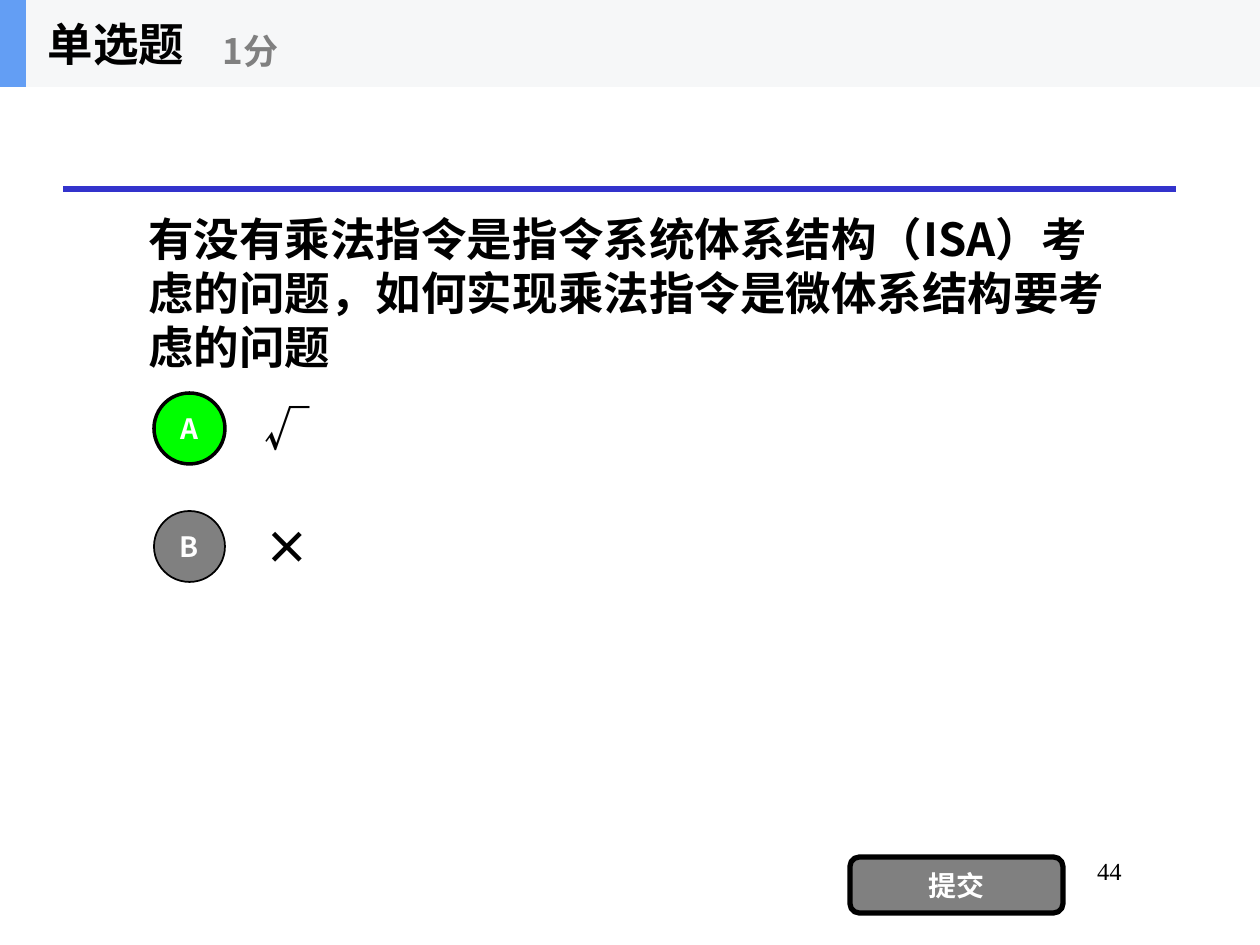
from lxml import etree
from pptx import Presentation
from pptx.dml.color import RGBColor
from pptx.enum.shapes import MSO_CONNECTOR, MSO_SHAPE
from pptx.enum.text import MSO_ANCHOR, PP_ALIGN
from pptx.oxml.ns import qn
from pptx.util import Emu, Pt

PIXELS_PER_INCH = 126
SANS = "Noto Sans CJK SC"
SERIF = "Times New Roman"

BLACK = RGBColor(0x00, 0x00, 0x00)
WHITE = RGBColor(0xFF, 0xFF, 0xFF)
GRAY = RGBColor(0x80, 0x80, 0x80)
GREEN = RGBColor(0x00, 0xFF, 0x00)
RULE_BLUE = RGBColor(0x33, 0x33, 0xCC)
ACCENT_BLUE = RGBColor(0x63, 0x9E, 0xF4)
HEADER_GRAY = RGBColor(0xF6, 0xF7, 0xF8)

# Answer mark, letter, badge fill, badge outline width in points
OPTIONS = [("√", "A", GREEN, 2), ("×", "B", GRAY, 1)]
OPTION_TOP = 393
OPTION_PITCH = 118
BADGE_SIZE = 71
HEADER_HEIGHT = 87


def px(length):
    return Emu(round(length * 914400 / PIXELS_PER_INCH))


def write(shape, text, size, color, align=PP_ALIGN.LEFT, anchor=MSO_ANCHOR.MIDDLE,
          font=SANS, bold=True):
    """Put one formatted run in the shape and return its paragraph."""
    frame = shape.text_frame
    frame.word_wrap = True
    frame.vertical_anchor = anchor
    para = frame.paragraphs[0]
    para.alignment = align
    span = para.add_run()
    span.text = text
    span.font.name = font
    span.font.size = Pt(size)
    span.font.bold = bold
    span.font.color.rgb = color
    east_asian = etree.SubElement(span.font._element, qn("a:ea"))
    east_asian.set("typeface", font)
    return para


def add_text(page, left, top, width, height, text, size, color, **style):
    box = page.shapes.add_textbox(px(left), px(top), px(width), px(height))
    return write(box, text, size, color, **style)


def add_block(page, kind, left, top, width, height, fill, outline=0):
    """Add a filled shape, with a black outline if a width in points is given."""
    block = page.shapes.add_shape(kind, px(left), px(top), px(width), px(height))
    block.shadow.inherit = False
    block.fill.solid()
    block.fill.fore_color.rgb = fill
    if outline:
        block.line.color.rgb = BLACK
        block.line.width = Pt(outline)
    else:
        block.line.fill.background()
    return block


def add_button(page, kind, left, top, width, height, fill, outline, label):
    button = add_block(page, kind, left, top, width, height, fill, outline)
    frame = button.text_frame
    frame.margin_left = frame.margin_right = 0
    frame.margin_top = frame.margin_bottom = 0
    write(button, label, 16, WHITE, align=PP_ALIGN.CENTER)


def add_rule(page, left, right, y):
    rule = page.shapes.add_connector(
        MSO_CONNECTOR.STRAIGHT, px(left), px(y), px(right), px(y))
    rule.line.color.rgb = RULE_BLUE
    rule.line.width = Pt(3)
    etree.SubElement(rule._element.spPr, qn("a:effectLst"))


def add_question(page):
    para = add_text(
        page, 136, 145, 1008, 295,
        "有没有乘法指令是指令系统体系结构（ISA）考虑的问题，如何实现乘法指令是微体系结构要考虑的问题",
        26, BLACK)
    para.line_spacing = Pt(31)


def add_options(page):
    for index, (mark, letter, fill, outline) in enumerate(OPTIONS):
        top = OPTION_TOP + index * OPTION_PITCH
        add_text(page, 252, top - 9, 882, 88, mark, 26, BLACK)
        add_button(page, MSO_SHAPE.OVAL, 154, top, BADGE_SIZE, BADGE_SIZE,
                   fill, outline, letter)


def add_header(page):
    add_block(page, MSO_SHAPE.RECTANGLE, 0, 0, 1260, HEADER_HEIGHT, HEADER_GRAY)
    add_block(page, MSO_SHAPE.RECTANGLE, 0, 0, 26, HEADER_HEIGHT, ACCENT_BLUE)
    title = page.shapes.title
    title.left, title.top = px(35), px(0)
    title.width, title.height = px(262), px(HEADER_HEIGHT)
    write(title, "单选题", 26, BLACK)
    # Bring the title in front of the header band
    page.shapes._spTree.append(title._element)
    add_text(page, 210, 15, 315, 71, "1分", 20, GRAY)


def main():
    deck = Presentation()
    deck.slide_width, deck.slide_height = px(1260), px(945)
    page = deck.slides.add_slide(deck.slide_layouts[5])
    add_rule(page, 63, 1176, 189)
    add_text(page, 955, 850, 179, 63, "44", 14, BLACK, align=PP_ALIGN.RIGHT,
             anchor=MSO_ANCHOR.TOP, font=SERIF, bold=False)
    add_question(page)
    add_options(page)
    add_button(page, MSO_SHAPE.ROUNDED_RECTANGLE, 850, 857, 213, 56, GRAY, 3, "提交")
    add_header(page)
    deck.save("out.pptx")


if __name__ == "__main__":
    main()
